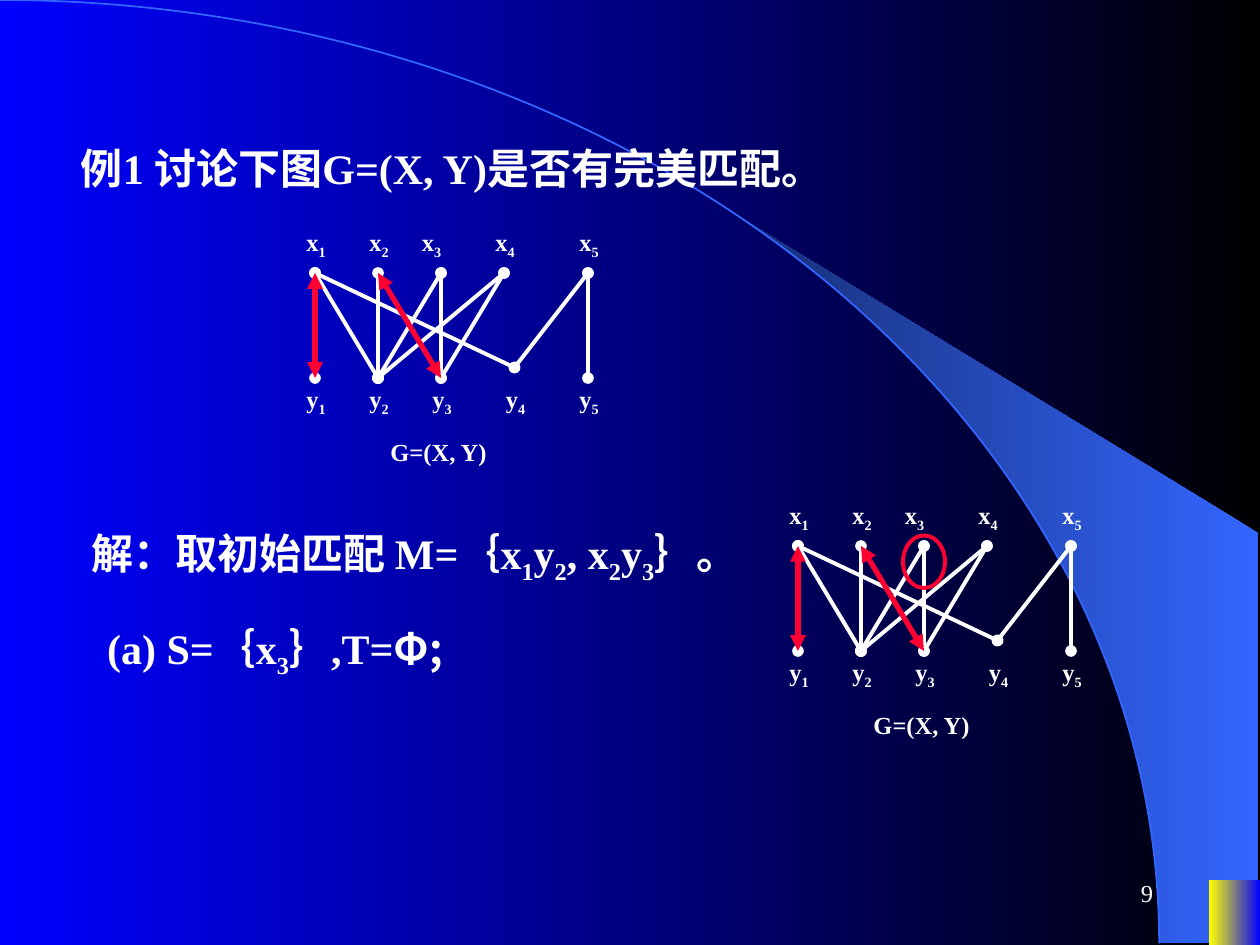
"""Build the slide on perfect matchings in a bipartite graph."""
import math
from lxml import etree
from pptx import Presentation
from pptx.dml.color import RGBColor
from pptx.enum import shapes, text
from pptx.oxml import ns
from pptx.util import Pt

WHITE, RED, BLUE = "FFFFFF", "FF0033", "3366FF"
LATIN, CJK = "Times New Roman", "Noto Sans CJK SC"
MIDDLE, TOP = text.MSO_ANCHOR.MIDDLE, text.MSO_ANCHOR.TOP
LEFT, RIGHT = text.PP_ALIGN.LEFT, text.PP_ALIGN.RIGHT

SENTENCES = [
    ((12, 78, 672, 36), 27, ["例1 讨论下图G=(X, Y)是否有完美匹配。"]),
    ((18, 298, 672, 40), 27,
     ["解：取初始匹配 M=｛x", "_1", "y", "_2", ", x", "_2", "y", "_3", "｝。"]),
    ((24, 352, 672, 40), 30, ["(a) S=｛x", "_3", "｝,T=", "Φ;"]),
]
NODES = {
    "x1": (0, 0), "x2": (36, 0), "x3": (72, 0), "x4": (108, 0), "x5": (156, 0),
    "y1": (0, 60), "y2": (36, 60), "y3": (72, 60), "y4": (114, 54), "y5": (156, 60),
}
EDGES = ["x1 y1", "x2 y2", "x3 y3", "x5 y5", "x1 y2", "y2 x3",
         "x5 y4", "x1 y4", "x4 y3", "x4 y2"]
MATCHING = ["x2 y3", "x1 y1"]
LABEL_SHIFT = {"x3": -18}
LABEL_TOP = {"x": -30, "y": 60}
GRAPHS = [((180, 156), None), ((456, 312), "x3")]
ARC_W, ARC_H = 662.4, 539
WEDGE_ANGLES = (39.8, 90)
WEDGE_CORNERS = [(719, 539), (719, 304.5)]


def rgb(value):
    return RGBColor.from_string(value)


def gradient(fill, start, end):
    fill.gradient()
    fill.gradient_angle = 180
    for stop, value in zip(fill.gradient_stops, (start, end)):
        stop.color.rgb = rgb(value)


def outline(sp, color, width):
    sp.line.color.rgb = rgb(color)
    sp.line.width = Pt(width)


def add_shape(parent, kind, box, color, width):
    sp = parent.add_shape(kind, *map(Pt, box))
    sp.shadow.inherit = False
    sp.fill.background()
    outline(sp, color, width)
    return sp


def add_text(parent, box, parts, size, bold=True, anchor=TOP, align=LEFT, indent=0):
    tf = parent.add_textbox(*map(Pt, box)).text_frame
    settings = {"word_wrap": True, "vertical_anchor": anchor,
                "margin_left": Pt(7.2 + indent)}
    for name, value in settings.items():
        setattr(tf, name, value)
    p = tf.paragraphs[0]
    p.alignment = align
    for part in parts:
        r = p.add_run()
        r.text = part.lstrip("_")
        font = {"size": Pt(size), "bold": bold,
                "name": CJK if "Φ" in part else LATIN}
        for name, value in font.items():
            setattr(r.font, name, value)
        r.font.color.rgb = rgb(WHITE)
        props = r._r.get_or_add_rPr()
        etree.SubElement(props, ns.qn("a:ea")).set("typeface", CJK)
        if part.startswith("_"):
            props.set("baseline", "-25000")


def add_edge(parent, start, end, color, width, marker):
    line = parent.add_connector(shapes.MSO_CONNECTOR.STRAIGHT, *map(Pt, start + end))
    outline(line, color, width)
    ln = line.line._get_or_add_ln()
    for tag in ("a:headEnd", "a:tailEnd"):
        etree.SubElement(ln, ns.qn(tag)).set("type", marker)
    etree.SubElement(line._element.spPr, ns.qn("a:effectLst"))


def add_graph(s, origin, circled):
    group = s.shapes.add_group_shape().shapes
    left, top = origin
    at = {name: (left + x, top + y) for name, (x, y) in NODES.items()}
    for edges, style in ((EDGES, (WHITE, 2.25, "oval")), (MATCHING, (RED, 3, "triangle"))):
        for edge in edges:
            start, end = edge.split()
            add_edge(group, at[start], at[end], *style)
    for name, (x, _) in at.items():
        box = (x + LABEL_SHIFT.get(name, -12), top + LABEL_TOP[name[0]], 31, 26.5)
        add_text(group, box, [name[0], "_" + name[1]], 14)
    add_text(group, (left + 36, top + 90, 79, 24.5), ["G=(X, Y)"], 14)
    if circled:
        x, y = at[circled]
        add_shape(group, shapes.MSO_SHAPE.OVAL, (x - 12, y - 6, 24, 30), RED, 2.25)


def add_backdrop(s):
    gradient(s.background.fill, "000000", "0000FF")
    first, last = WEDGE_ANGLES
    angles = [math.radians(first + (last - first) * i / 24) for i in range(25)]
    curve = [(ARC_W * math.sin(a), ARC_H * (1 - math.cos(a))) for a in angles]
    points = [(Pt(x), Pt(y)) for x, y in curve + WEDGE_CORNERS]
    builder = s.shapes.build_freeform(*points[0])
    builder.add_line_segments(points[1:], close=True)
    wedge = builder.convert_to_shape()
    wedge.shadow.inherit = False
    wedge.line.fill.background()
    gradient(wedge.fill, BLUE, "172F75")
    add_shape(s.shapes, shapes.MSO_SHAPE.ARC, (-ARC_W, 0, 2 * ARC_W, 2 * ARC_H), BLUE, 1)
    corner = add_shape(s.shapes, shapes.MSO_SHAPE.RECTANGLE, (691, 503, 29, 37), BLUE, 1)
    corner.line.fill.background()
    gradient(corner.fill, "0000FF", "FFFF00")


def main():
    prs = Presentation()
    prs.slide_width, prs.slide_height = Pt(720), Pt(540)
    s = prs.slides.add_slide(prs.slide_layouts[6])
    add_backdrop(s)
    for box, indent, parts in SENTENCES:
        add_text(s.shapes, box, parts, 24, anchor=MIDDLE, indent=indent)
    for origin, circled in GRAPHS:
        add_graph(s, origin, circled)
    add_text(s.shapes, (516, 492, 150, 36), ["9"], 14, False, MIDDLE, RIGHT)
    prs.save("out.pptx")


if __name__ == "__main__":
    main()
